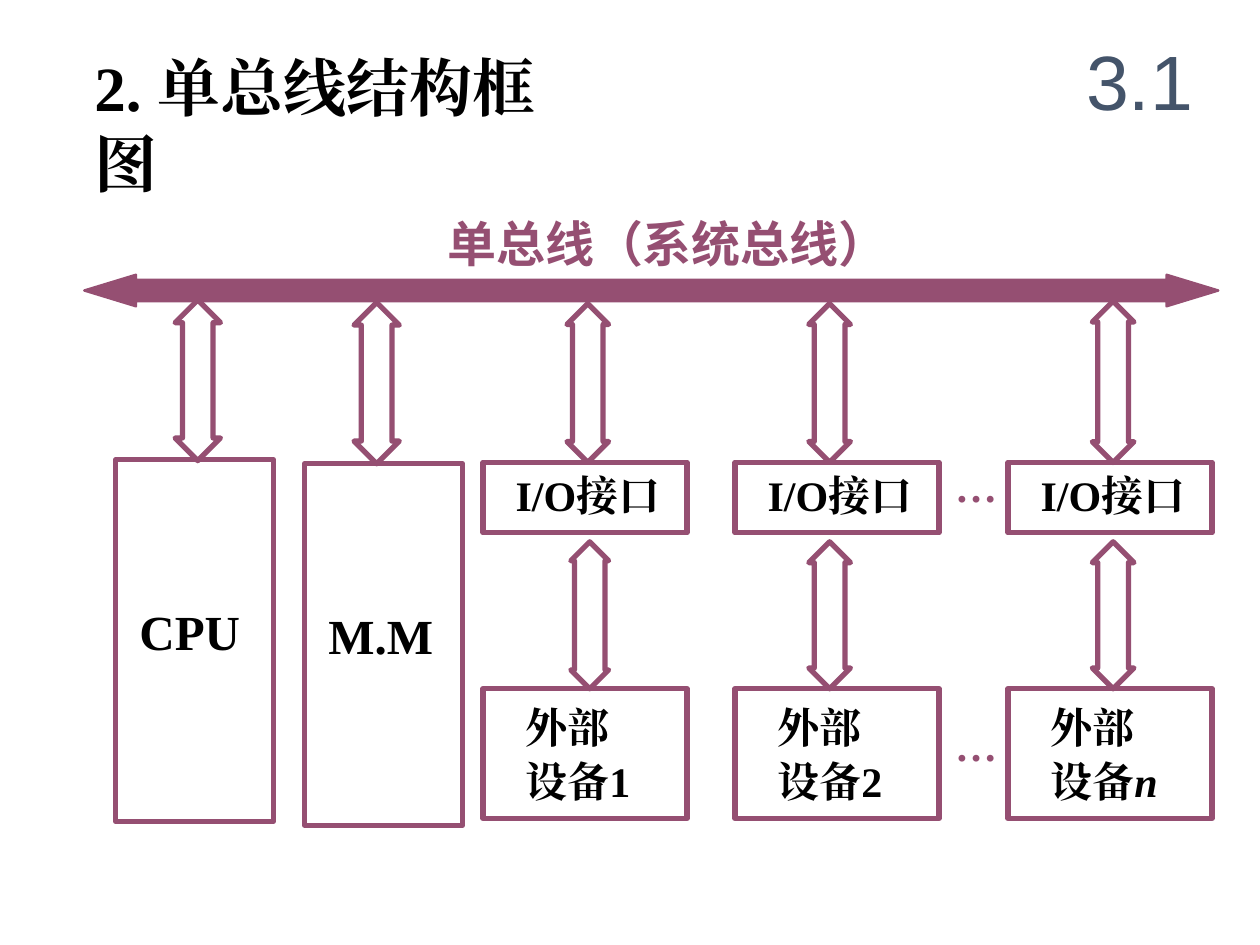
from dataclasses import dataclass
from typing import Optional

from lxml.etree import SubElement
from pptx import Presentation
from pptx.dml.color import RGBColor as Rgb
from pptx.enum.shapes import MSO_SHAPE as Shape
from pptx.enum.text import MSO_ANCHOR as Anchor, PP_ALIGN as Align
from pptx.oxml.ns import qn
from pptx.util import Pt

COLORS = {"bus": "954F72", "text": "000000", "number": "44546A"}
SERIF, SANS, CJK = "Times New Roman", "Arial", "Noto Sans CJK SC"
HEAD_LENGTH = 17.5
LINE_WIDTH = 3


@dataclass
class Area:
    left: float
    top: float
    width: float
    height: float

    def lengths(self) -> list:
        return [Pt(value) for value in (self.left, self.top, self.width, self.height)]


@dataclass
class Style:
    size: float
    spacing: Optional[float] = None
    font: str = SERIF
    color: str = "text"
    bold: bool = True
    align: Align = Align.LEFT
    anchor: Anchor = Anchor.TOP
    inset_left: float = 0
    inset_top: float = 0
    wrap: bool = True


@dataclass
class Column:
    left: float
    device: str
    italic: bool
    bus_arrow: Area
    device_arrow: Area


TITLE = Style(36, 43, inset_left=7.2, inset_top=4.4)
BUS_LABEL = Style(28, 34, CJK, "bus", inset_top=1.6, wrap=False)
NUMBER = Style(44, font=SANS, color="number", bold=False, align=Align.CENTER, anchor=Anchor.MIDDLE)
UNIT = Style(28, 32, inset_left=13.5, inset_top=82.6)
INTERFACE = Style(24, 28, inset_left=18.6, inset_top=5)
DEVICE = Style(24, 31, inset_left=24.2, inset_top=5)
DOTS = Style(24, 28, color="bus")

INTERFACE_TOP, DEVICE_TOP = 264.2, 393.6
BOX_WIDTH = 116.6
UNITS = {"CPU": (Area(66.2, 262.8, 90, 206.6), Area(100.1, 171.4, 25.9, 91.8)),
         "M.M": (Area(174.2, 265, 90, 206.6), Area(202.3, 172.8, 25.9, 92.2))}
COLUMNS = [
    Column(276, "1", False, Area(324, 173.5, 23.8, 90.7), Area(326.2, 309.6, 21.6, 84)),
    Column(420, "2", False, Area(462.2, 173.5, 23.8, 90.7), Area(462.2, 309.6, 23.8, 84)),
    Column(576, "n", True, Area(624.2, 172.1, 23.8, 92.2), Area(624.2, 309.6, 23.8, 84)),
]


def write(shape, paragraphs: list, style: Style) -> None:
    """Fill a shape with paragraphs, each a list of (text, italic) runs."""
    frame = shape.text_frame
    frame_format = {"word_wrap": style.wrap, "vertical_anchor": style.anchor,
                    "margin_left": Pt(style.inset_left), "margin_top": Pt(style.inset_top),
                    "margin_right": 0, "margin_bottom": 0}
    for name, value in frame_format.items():
        setattr(frame, name, value)
    for index, runs in enumerate(paragraphs):
        paragraph = frame.add_paragraph() if index else frame.paragraphs[0]
        paragraph.alignment = style.align
        if style.spacing:
            paragraph.line_spacing = Pt(style.spacing)
        for text, italic in runs:
            run = paragraph.add_run()
            run.text = text
            font_format = {"name": style.font, "size": Pt(style.size),
                           "bold": style.bold, "italic": italic}
            for name, value in font_format.items():
                setattr(run.font, name, value)
            run.font.color.rgb = Rgb.from_string(COLORS[style.color])
            SubElement(run.font._element, qn("a:ea")).set("typeface", style.font)


def add_label(slide, area: Area, text: str, style: Style) -> None:
    """Add a text box with one line of text."""
    write(slide.shapes.add_textbox(*area.lengths()), [[(text, False)]], style)


def add_outline(slide, kind: Shape, area: Area, width: float = LINE_WIDTH):
    """Add an unfilled shape with a line in the bus colour."""
    shape = slide.shapes.add_shape(kind, *area.lengths())
    shape.shadow.inherit = False
    shape.fill.background()
    shape.line.color.rgb = Rgb.from_string(COLORS["bus"])
    shape.line.width = Pt(width)
    return shape


def add_box(slide, area: Area, paragraphs: list, style: Style) -> None:
    """Add an outlined rectangle with text."""
    write(add_outline(slide, Shape.RECTANGLE, area), paragraphs, style)


def add_arrow(slide, area: Area) -> None:
    """Add a hollow vertical double arrow."""
    arrow = add_outline(slide, Shape.UP_DOWN_ARROW, area)
    arrow.adjustments[0] = 0.5
    arrow.adjustments[1] = HEAD_LENGTH / area.width


def add_bus(slide) -> None:
    """Add the system bus as a solid double arrow."""
    bus = add_outline(slide, Shape.LEFT_RIGHT_ARROW, Area(48.2, 157, 648, 18), 1.38)
    bus.fill.solid()
    bus.fill.fore_color.rgb = Rgb.from_string(COLORS["bus"])
    bus.adjustments[0] = 0.68
    bus.adjustments[1] = 1.64


def main() -> None:
    """Build the single bus structure slide."""
    presentation = Presentation()
    presentation.slide_width, presentation.slide_height = Pt(720), Pt(540)
    slide = presentation.slides.add_slide(presentation.slide_layouts[6])
    add_label(slide, Area(255.6, 120.2, 253.4, 34), "单总线（系统总线）", BUS_LABEL)
    add_bus(slide)
    add_label(slide, Area(46.8, 23.8, 295, 50.4), "2. 单总线结构框图", TITLE)
    for name, (box, arrow) in UNITS.items():
        add_box(slide, box, [[(name, False)]], UNIT)
        add_arrow(slide, arrow)
    for column in COLUMNS:
        add_box(slide, Area(column.left, INTERFACE_TOP, BOX_WIDTH, 40.3),
                [[("I/O接口", False)]], INTERFACE)
        add_box(slide, Area(column.left, DEVICE_TOP, BOX_WIDTH, 74.2),
                [[("外部", False)], [("设备", False), (column.device, column.italic)]], DEVICE)
        add_arrow(slide, column.bus_arrow)
        add_arrow(slide, column.device_arrow)
    for top in (INTERFACE_TOP, 411.8):
        add_label(slide, Area(545.8, top, 30.2, 28.8), "…", DOTS)
    add_label(slide, Area(606.2, 12.2, 90, 66.2), "3.1", NUMBER)
    presentation.save("out.pptx")


if __name__ == "__main__":
    main()
